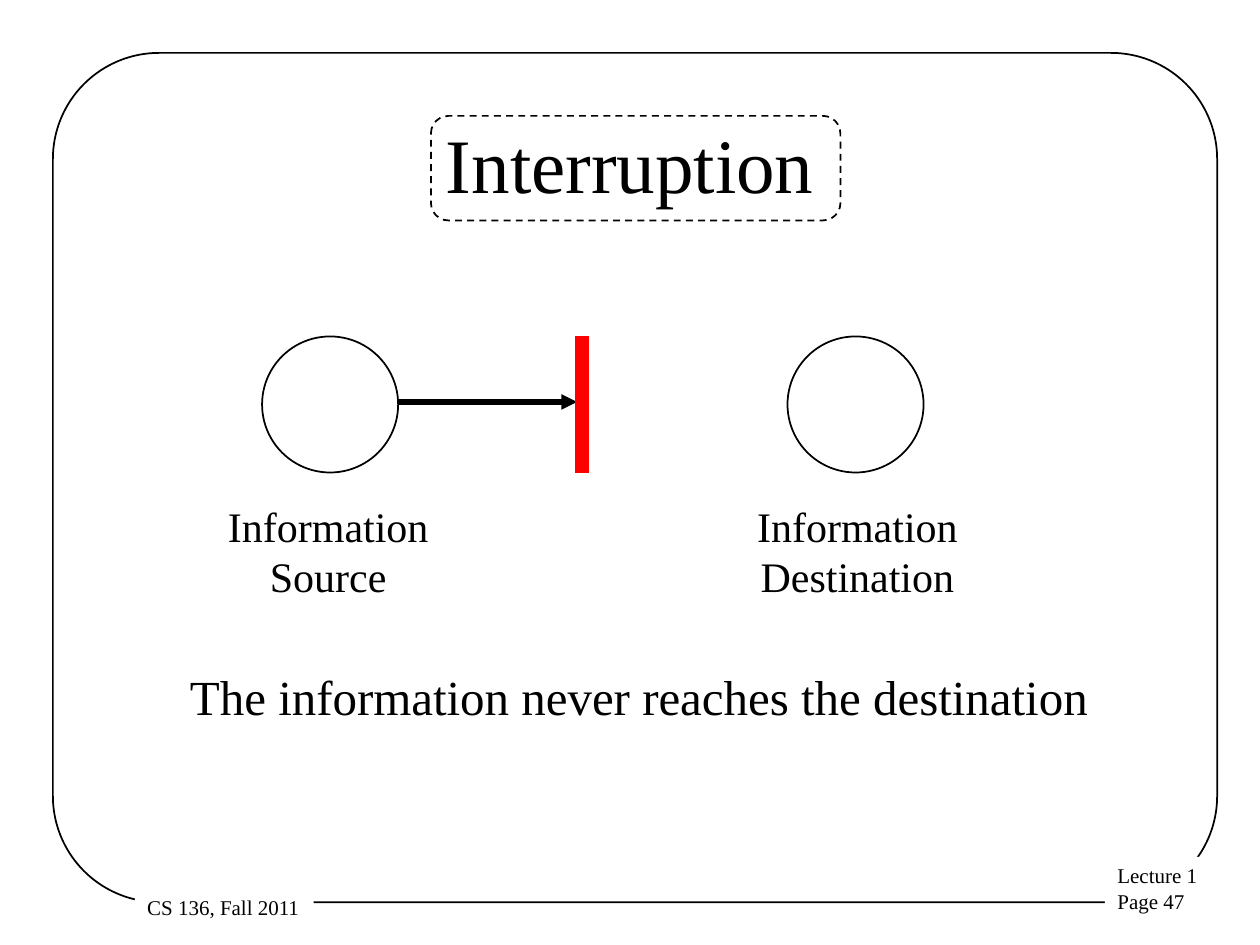
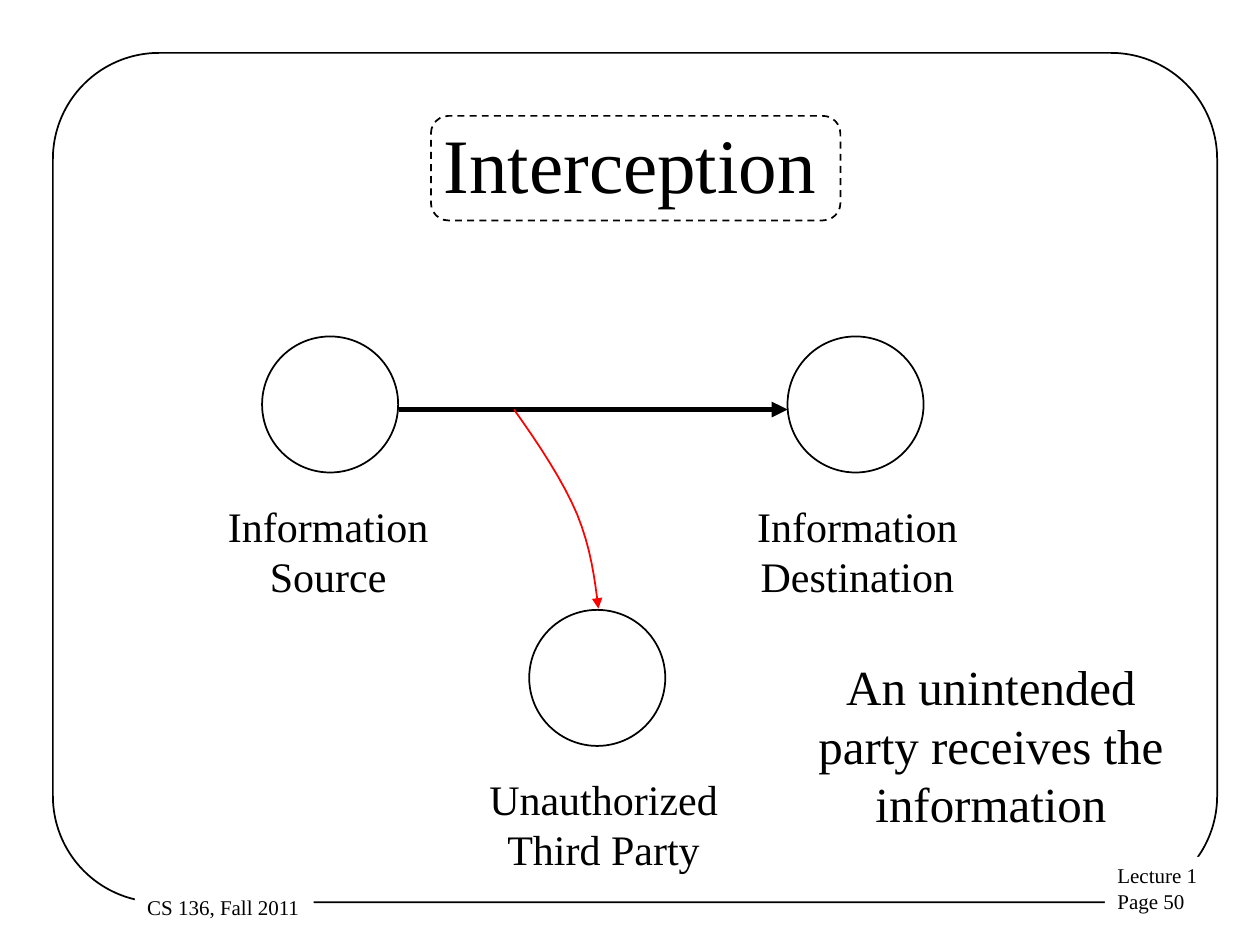
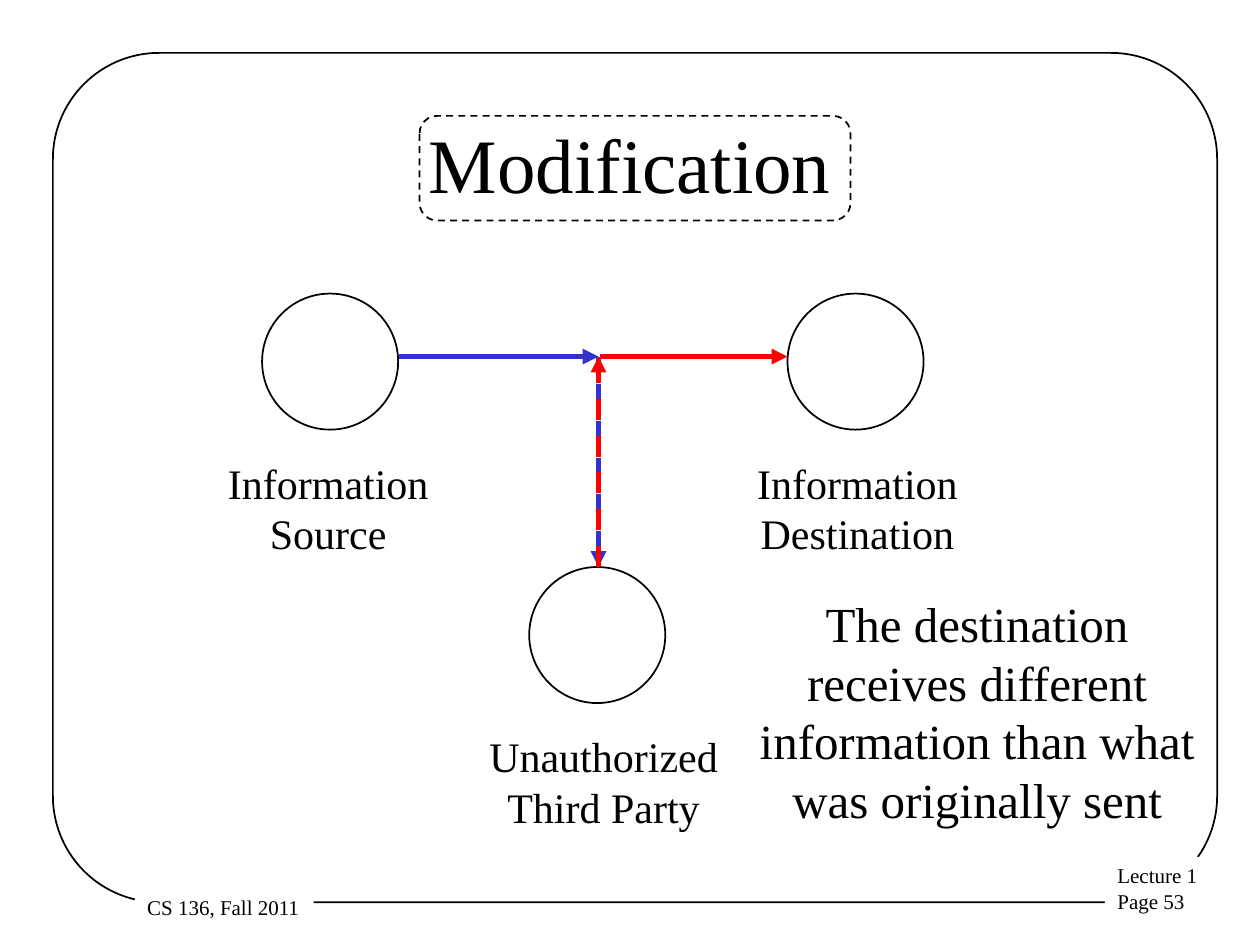
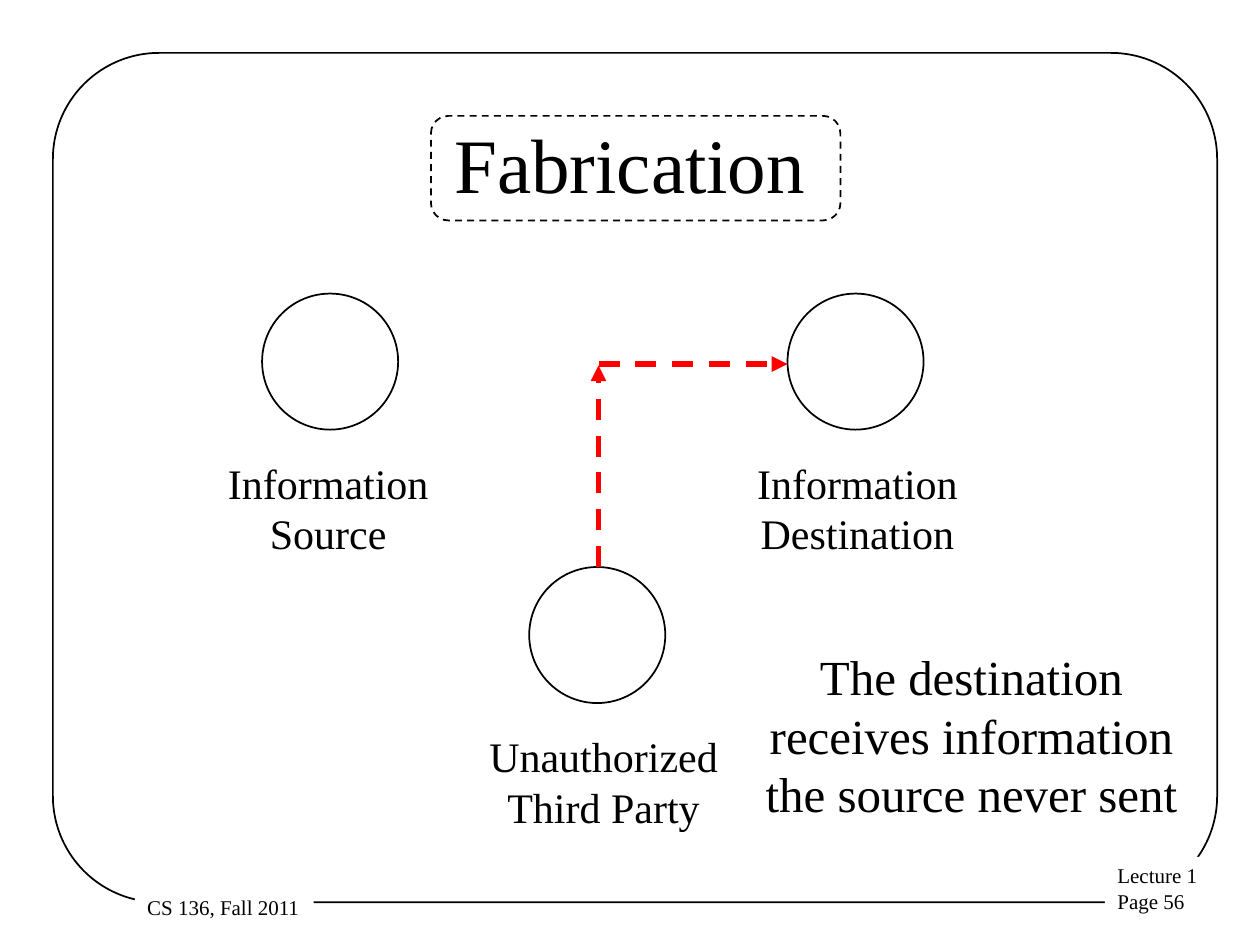
"""Build four slides on interruption, interception, modification and fabrication."""
from lxml import etree
from pptx import Presentation
from pptx import util as u
from pptx.dml.color import RGBColor
from pptx.enum import dml, shapes, text
from pptx.oxml import ns

BLACK, WHITE, RED, BLUE = "000000", "FFFFFF", "FF0000", "3333CC"
FONT = "Times New Roman"
LEFT, CENTER = text.PP_ALIGN.LEFT, text.PP_ALIGN.CENTER
CIRCLE = 1.08
LABEL_DROP = 1.25


def draw_line(shape, color=BLACK, width=1, dashed=False, arrow=None):
    """Style an outline, with an arrowhead at headEnd or tailEnd if named."""
    shape.line.color.rgb = RGBColor.from_string(color)
    shape.line.width = u.Pt(width)
    if dashed:
        shape.line.dash_style = dml.MSO_LINE.DASH
    if arrow:
        outline = shape.line.color._xFill.getparent()
        etree.SubElement(outline, ns.qn("a:" + arrow), type="triangle")


def write(box, words, size, align=CENTER, wrap=False, grow=True):
    """Fill a text box or placeholder with one paragraph per line."""
    frame = box.text_frame
    frame.text = words
    frame.word_wrap = wrap
    frame.auto_size = text.MSO_AUTO_SIZE.SHAPE_TO_FIT_TEXT if grow else text.MSO_AUTO_SIZE.NONE
    for para in frame.paragraphs:
        para.alignment = align
        para.font.name = FONT
        para.font.size = u.Pt(size)
        para.font.color.rgb = RGBColor.from_string(BLACK)


pages = [
    dict(title="Interruption", number=47, title_frame=(3.42, 3.25), top=2.67, third_party=False,
         note="The information never reaches the destination",
         note_at=(1.41, 5.24, 7.33, 0.57), note_wrap=False,
         flows=[(3.17, 3.19, 4.58, 3.19, BLACK, 3, False, "tailEnd"),
                (4.62, 2.67, 4.62, 3.75, RED, 8, False, None)]),
    dict(title="Interception", number=50, title_frame=(3.42, 3.25), top=2.67, third_party=True,
         note="An unintended party receives the information",
         note_at=(6.23, 5.16, 3.27, 1.5), note_wrap=True,
         flows=[(3.17, 3.25, 6.25, 3.25, BLACK, 3, False, "tailEnd")],
         curves=[[(4.08, 3.25), (4.28, 3.53), (4.47, 3.82), (4.58, 4.08)],
                 [(4.58, 4.08), (4.69, 4.35), (4.72, 4.59), (4.75, 4.83)]]),
    dict(title="Modification", number=53, title_frame=(3.33, 3.42), top=2.33, third_party=True,
         note="The destination receives different information than what was originally sent",
         note_at=(5.92, 4.66, 3.67, 1.97), note_wrap=True,
         flows=[(4.75, 4.5, 4.75, 2.83, BLUE, 3, True, "headEnd"),
                (3.17, 2.83, 4.75, 2.83, BLUE, 3, False, "tailEnd"),
                (4.75, 4.5, 4.75, 2.83, RED, 3, True, "tailEnd"),
                (4.76, 2.83, 6.25, 2.83, RED, 3, False, "tailEnd")]),
    dict(title="Fabrication", number=56, title_frame=(3.42, 3.25), top=2.33, third_party=True,
         note="The destination receives information the source never sent",
         note_at=(5.92, 5.08, 3.58, 1.5), note_wrap=True,
         flows=[(4.75, 4.5, 4.75, 2.9, RED, 3, True, "tailEnd"),
                (4.75, 2.89, 6.25, 2.89, RED, 3, True, "tailEnd")]),
]

deck = Presentation()
deck.slide_width, deck.slide_height = u.Inches(10), u.Inches(7.5)

for page in pages:
    slide = deck.slides.add_slide(deck.slide_layouts[5])
    title = slide.shapes.title
    title.left, title.top, title.width, title.height = map(u.Inches, (0.75, 0.67, 8.5, 1.25))
    write(title, page["title"], 44, wrap=True, grow=False)
    title.text_frame.vertical_anchor = text.MSO_ANCHOR.MIDDLE

    frame_left, frame_width = page["title_frame"]
    for at, corner, dashed in [((0.42, 0.42, 9.24, 6.74), 0.125, False),
                               ((frame_left, 0.92, frame_width, 0.83), 0.167, True)]:
        border = slide.shapes.add_shape(shapes.MSO_SHAPE.ROUNDED_RECTANGLE, *map(u.Inches, at))
        border.adjustments[0] = corner
        border.fill.background()
        border.shadow.inherit = False
        draw_line(border, dashed=dashed)

    for words, at in [(f"Lecture 1\nPage {page['number']}", (8.77, 6.8, 1.27, 0.5)),
                      ("CS 136, Fall 2011", (1.07, 7.05, 1.42, 0.3))]:
        footer = slide.shapes.add_textbox(*map(u.Inches, at))
        footer.fill.solid()
        footer.fill.fore_color.rgb = RGBColor.from_string(WHITE)
        write(footer, words, 12, LEFT)

    top = page["top"]
    parties = [("Information\nSource", 2.08, top, 1.71, 1.79, False),
               ("Information\nDestination", 6.25, top, 5.91, 1.79, False)]
    if page["third_party"]:
        parties.append(("Unauthorized Third Party", 4.2, top + 2.17, 3.5, 2.58, True))
    for name, left, party_top, label_left, label_width, wrap in parties:
        circle = slide.shapes.add_shape(
            shapes.MSO_SHAPE.OVAL, *map(u.Inches, (left, party_top, CIRCLE, CIRCLE)))
        circle.fill.background()
        circle.shadow.inherit = False
        draw_line(circle)
        label = slide.shapes.add_textbox(
            *map(u.Inches, (label_left, party_top + LABEL_DROP, label_width, 0.9)))
        write(label, name, 24, wrap=wrap)

    for x1, y1, x2, y2, color, width, dashed, arrow in page["flows"]:
        flow = slide.shapes.add_connector(
            shapes.MSO_CONNECTOR.STRAIGHT, *map(u.Inches, (x1, y1, x2, y2)))
        draw_line(flow, color, width, dashed, arrow)
        etree.SubElement(flow._element.spPr, ns.qn("a:effectLst"))

    if "curves" in page:
        points = []
        for curve in page["curves"]:
            for step in range(1, 9):
                t = step / 8
                weights = ((1 - t) ** 3, 3 * t * (1 - t) ** 2, 3 * t ** 2 * (1 - t), t ** 3)
                points.append(tuple(
                    u.Inches(sum(weight * value for weight, value in zip(weights, axis)))
                    for axis in zip(*curve)))
        start_x, start_y = map(u.Inches, page["curves"][0][0])
        builder = slide.shapes.build_freeform(start_x, start_y)
        builder.add_line_segments(points, close=False)
        leak = builder.convert_to_shape()
        leak.fill.background()
        leak.shadow.inherit = False
        draw_line(leak, RED, arrow="tailEnd")

    note = slide.shapes.add_textbox(*map(u.Inches, page["note_at"]))
    write(note, page["note"], 28, CENTER if page["note_wrap"] else LEFT, page["note_wrap"])

deck.save("out.pptx")
